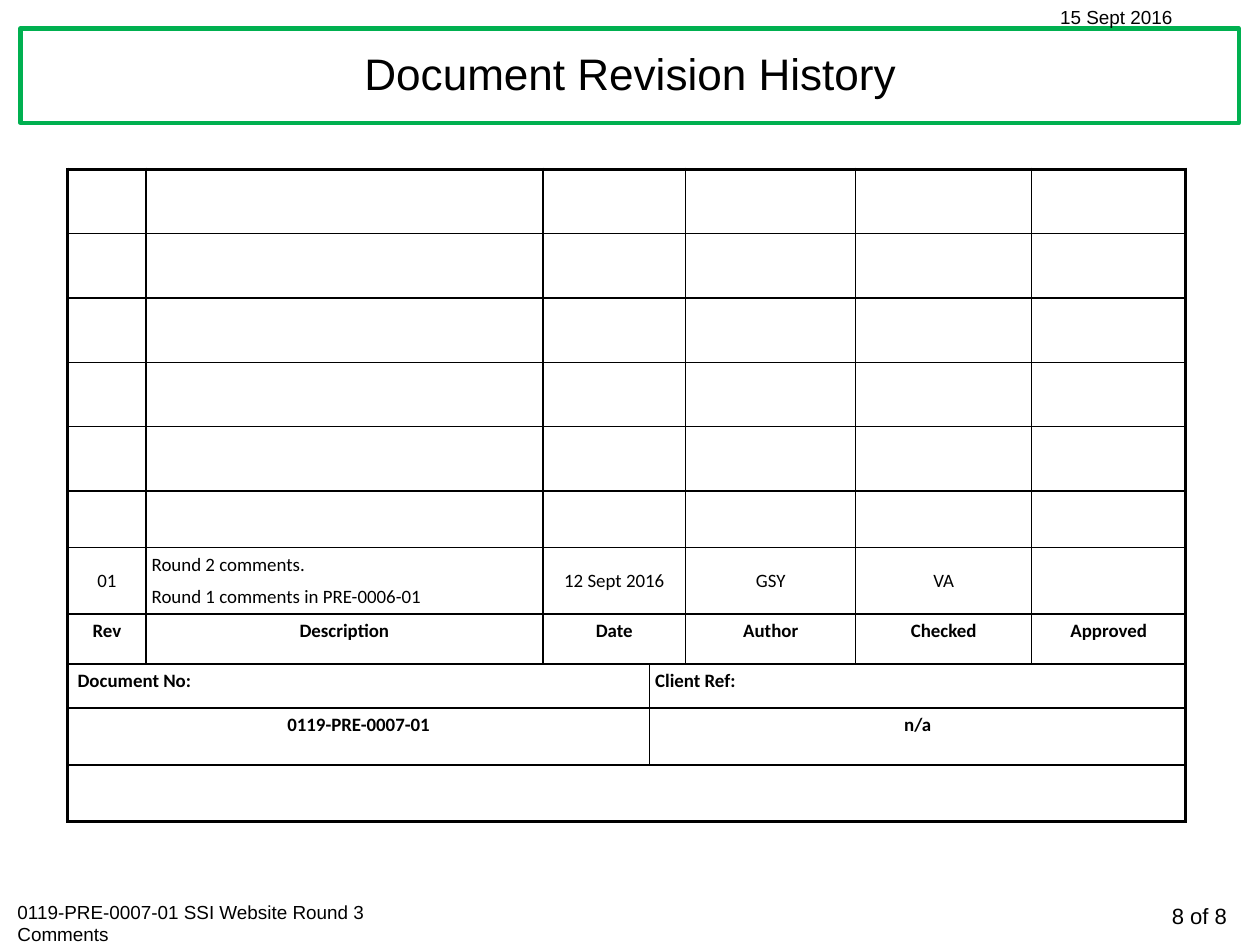
from lxml import etree
from pptx import Presentation
from pptx.dml.color import RGBColor
from pptx.enum.shapes import MSO_SHAPE
from pptx.enum.text import MSO_ANCHOR, PP_ALIGN
from pptx.oxml.ns import qn
from pptx.util import Pt

RECTANGLE = MSO_SHAPE.RECTANGLE
TOP, MIDDLE = MSO_ANCHOR.TOP, MSO_ANCHOR.MIDDLE
LEFT, CENTER, RIGHT = PP_ALIGN.LEFT, PP_ALIGN.CENTER, PP_ALIGN.RIGHT

COLORS = {"paper": "FFFFFF", "ink": "000000", "frame": "00B050"}
TABLE_GRID_STYLE = "{5940675A-B579-460E-94D1-54222C63F5DA}"
THIN, THICK = 1, 2.25


def write(frame, text, align, **font_values):
    for number, line in enumerate(text.split("\n")):
        para = frame.paragraphs[0] if number == 0 else frame.add_paragraph()
        para.alignment = align
        if number > 0:
            para.space_before = Pt(6)
        span = para.add_run()
        span.text = line
        for name, value in font_values.items():
            setattr(span.font, name, value)
        span.font.color.rgb = RGBColor.from_string(COLORS["ink"])


def add_border(cell, side, width):
    line = etree.SubElement(cell._tc.get_or_add_tcPr(), qn(f"a:ln{side}"), w=str(Pt(width)))
    fill = etree.SubElement(line, qn("a:solidFill"))
    etree.SubElement(fill, qn("a:srgbClr"), val=COLORS["ink"])


deck = Presentation()
deck.slide_width, deck.slide_height = Pt(800), Pt(600)
page = deck.slides.add_slide(deck.slide_layouts[6])

title_frame = page.shapes.add_shape(RECTANGLE, Pt(13), Pt(18), Pt(773.5), Pt(60))
title_frame.shadow.inherit = False
title_frame.fill.solid()
title_frame.fill.fore_color.rgb = RGBColor.from_string(COLORS["paper"])
title_frame.line.color.rgb = RGBColor.from_string(COLORS["frame"])
title_frame.line.width = Pt(2.75)

labels = [
    ("8 of 8", (676.8, 569.5, 109.4, 24.5), 14, RIGHT, TOP),
    ("0119-PRE-0007-01 SSI Website Round 3 Comments", (4, 568, 287.3, 36), 12, LEFT, TOP),
    ("15 Sept 2016", (666, 0, 121, 21.6), 12, LEFT, TOP),
    ("Document Revision History", (15, 18, 770, 56), 28, CENTER, MIDDLE),
]
for text, place, size, align, anchor in labels:
    box = page.shapes.add_textbox(*(Pt(length) for length in place))
    box.text_frame.word_wrap = True
    box.text_frame.vertical_anchor = anchor
    write(box.text_frame, text, align, size=Pt(size), name="Arial")

column_widths = [49.7, 252, 67.7, 23, 108, 111.6, 98]
row_heights = [40.9] * 5 + [36, 42, 31.8, 28, 36.2, 36]
row_count, column_count = len(row_heights), len(column_widths)
REVISION_ROW, HEADING_ROW, REFERENCE_ROW, NUMBER_ROW, LAST_ROW = range(6, 11)

history = page.shapes.add_table(
    row_count, column_count, Pt(43), Pt(107.4), Pt(sum(column_widths)), Pt(sum(row_heights))
).table
history.first_row = history.horz_banding = False
history._tbl.tblPr.find(qn("a:tableStyleId")).text = TABLE_GRID_STYLE
for column, width in zip(history.columns, column_widths):
    column.width = Pt(width)
for row, height in zip(history.rows, row_heights):
    row.height = Pt(height)

for row in range(REFERENCE_ROW):
    history.cell(row, 2).merge(history.cell(row, 3))
for row in (REFERENCE_ROW, NUMBER_ROW):
    history.cell(row, 0).merge(history.cell(row, 2))
    history.cell(row, 3).merge(history.cell(row, 6))
history.cell(LAST_ROW, 0).merge(history.cell(LAST_ROW, 6))

entries = {
    REVISION_ROW: {
        0: "01",
        1: "Round 2 comments.\nRound 1 comments in PRE-0006-01",
        2: "12 Sept 2016",
        4: "GSY",
        5: "VA",
    },
    HEADING_ROW: {
        0: "Rev", 1: "Description", 2: "Date", 4: "Author", 5: "Checked", 6: "Approved",
    },
    REFERENCE_ROW: {0: "Document No:", 3: "Client Ref:"},
    NUMBER_ROW: {0: "0119-PRE-0007-01", 3: "n/a"},
}

for row in range(row_count):
    for column in range(column_count):
        cell = history.cell(row, column)
        if cell.is_spanned:
            continue
        end = column + (cell.span_width if cell.is_merge_origin else 1)
        outer_sides = {
            "L": column == 0,
            "R": end == column_count,
            "T": row == 0,
            "B": row == LAST_ROW,
        }
        for side, is_outer in outer_sides.items():
            add_border(cell, side, THICK if is_outer else THIN)
        cell.fill.background()
        text = entries.get(row, {}).get(column)
        if text is None:
            continue
        for side in ("left", "right", "top", "bottom"):
            setattr(cell, f"margin_{side}", Pt(3.6))
        if text == "Document No:":
            cell.margin_left = Pt(6.3)
        cell.vertical_anchor = MIDDLE if row == REVISION_ROW else TOP
        is_left = row == REFERENCE_ROW or (row, column) == (REVISION_ROW, 1)
        write(cell.text_frame, text, LEFT if is_left else CENTER,
              size=Pt(12), name="Calibri", bold=row > REVISION_ROW)

deck.save("out.pptx")
